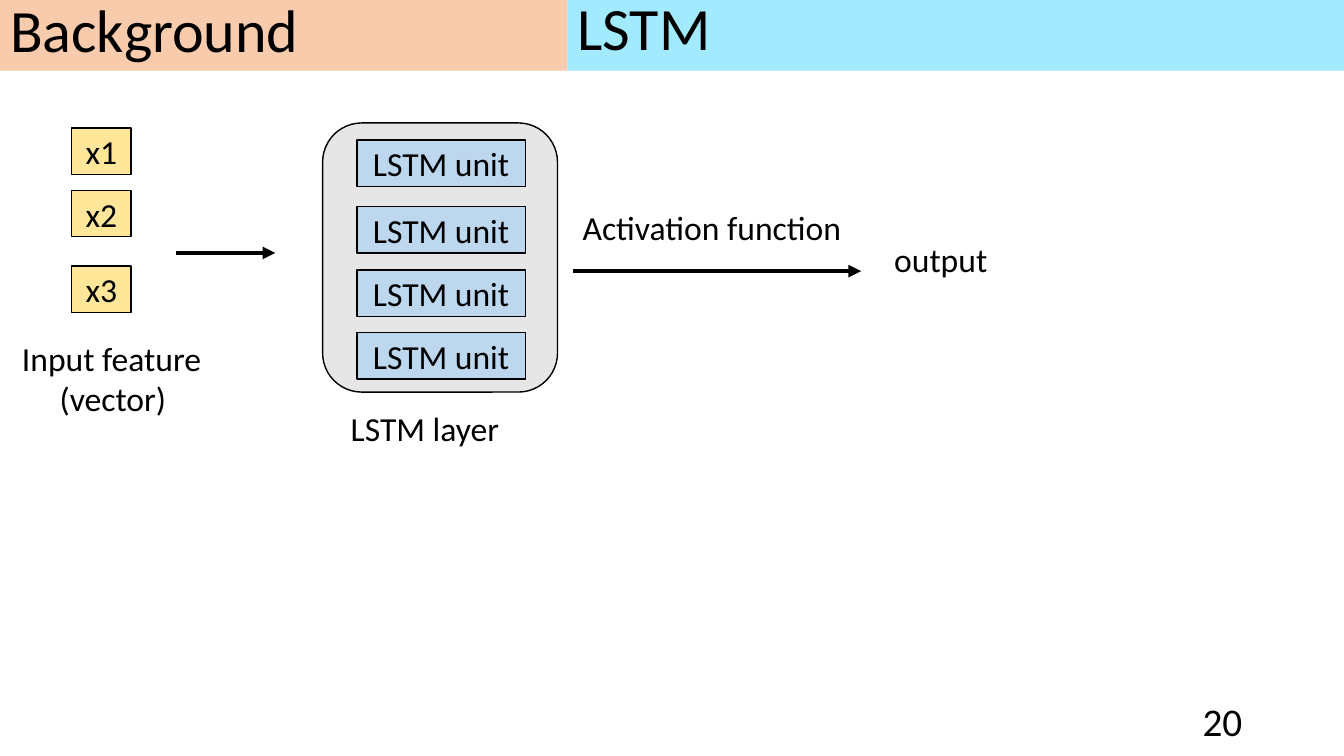
from pptx import Presentation
from pptx.dml.color import RGBColor
from pptx.enum.shapes import MSO_CONNECTOR, MSO_SHAPE
from pptx.enum.text import MSO_ANCHOR, MSO_AUTO_SIZE, PP_ALIGN
from pptx.oxml.ns import qn
from pptx.util import Inches, Pt
from lxml.etree import SubElement

BLACK = RGBColor(0x00, 0x00, 0x00)
CYAN = RGBColor(0xA1, 0xEA, 0xFF)
PEACH = RGBColor(0xF8, 0xCB, 0xAD)
YELLOW = RGBColor(0xFF, 0xE6, 0x99)
BLUE = RGBColor(0xBD, 0xD7, 0xEE)
GREY = RGBColor(0xE7, 0xE6, 0xE6)
LEFT, MID, RIGHT = PP_ALIGN.LEFT, PP_ALIGN.CENTER, PP_ALIGN.RIGHT

# Content: boxes are left, top, width, height in inches
TITLE = ("Background", (0, -0.01, 5.63, 0.71))
TOPIC = ("LSTM", (5.63, -0.01, 7.7, 0.71))
LAYER = (3.2, 1.22, 2.33, 2.67)
INPUTS = [("x1", 1.27), ("x2", 1.89), ("x3", 2.64)]
UNITS = [("LSTM unit", top) for top in (1.39, 2.05, 2.68, 3.3)]
STACKS = [  # items, left, width, fill
    (INPUTS, 0.71, 0.59, YELLOW),
    (UNITS, 3.54, 1.67, BLUE),
]
BOX_H = 0.46
LABELS = [  # lines with their alignment, box
    ([("Input feature", LEFT), ("(vector)", MID)], (0.12, 3.3, 2, 0.91)),
    ([("Activation function", LEFT)], (5.68, 2, 2.85, 0.5)),
    ([("output", LEFT)], (8.77, 2.32, 1.43, 0.5)),
    ([("LSTM layer", LEFT)], (3.38, 4, 1.9, 0.5)),
]
ARROWS = [(1.75, 2.73, 2.51), (5.68, 8.54, 2.69)]  # start, end, height
NUMBER = ("20", (9.42, 6.95, 3, 0.4))


def write(shape, lines, size=24, anchor=MSO_ANCHOR.MIDDLE, space=1.0):
    frame = shape.text_frame
    frame.word_wrap = True
    frame.auto_size = MSO_AUTO_SIZE.NONE
    frame.vertical_anchor = anchor
    for i, (text, align) in enumerate(lines):
        para = frame.add_paragraph() if i else frame.paragraphs[0]
        para.alignment = align
        para.line_spacing = space
        run = para.add_run()
        run.text = text
        run.font.name = "Calibri"
        run.font.size = Pt(size)
        run.font.color.rgb = BLACK


def block(box, fill, kind=MSO_SHAPE.RECTANGLE, line=True):
    shape = slide.shapes.add_shape(kind, *map(Inches, box))
    shape.shadow.inherit = False
    shape.fill.solid()
    shape.fill.fore_color.rgb = fill
    if line:
        shape.line.color.rgb = BLACK
        shape.line.width = Pt(1)
    else:
        shape.line.fill.background()
    return shape


def label(box, lines, **style):
    write(slide.shapes.add_textbox(*map(Inches, box)), lines, **style)


def arrow(start, end, y):
    line = slide.shapes.add_connector(
        MSO_CONNECTOR.STRAIGHT, *map(Inches, (start, y, end, y)))
    line.line.color.rgb = BLACK
    line.line.width = Pt(3)
    SubElement(line.line._get_or_add_ln(), qn("a:tailEnd"), type="triangle")
    SubElement(line._element.spPr, qn("a:effectLst"))


deck = Presentation()
deck.slide_width, deck.slide_height = Inches(13.33), Inches(7.5)
slide = deck.slides.add_slide(deck.slide_layouts[5])

# Header bands
text, box = TITLE
title = slide.shapes.title
title.left, title.top, title.width, title.height = map(Inches, box)
title.fill.solid()
title.fill.fore_color.rgb = PEACH
write(title, [(text, LEFT)], size=42.9, space=0.8)

text, box = TOPIC
write(block(box, CYAN, line=False), [(text, LEFT)], size=42.9,
      anchor=MSO_ANCHOR.TOP, space=0.8)

# Layer frame, then the inputs and units
block(LAYER, GREY, MSO_SHAPE.ROUNDED_RECTANGLE)
for items, left, width, fill in STACKS:
    for text, top in items:
        write(block((left, top, width, BOX_H), fill), [(text, MID)])

# Arrows and labels
for ends in ARROWS:
    arrow(*ends)
for lines, box in LABELS:
    label(box, lines, anchor=MSO_ANCHOR.TOP)

# Slide number
text, box = NUMBER
label(box, [(text, RIGHT)], size=28)

deck.save("out.pptx")
